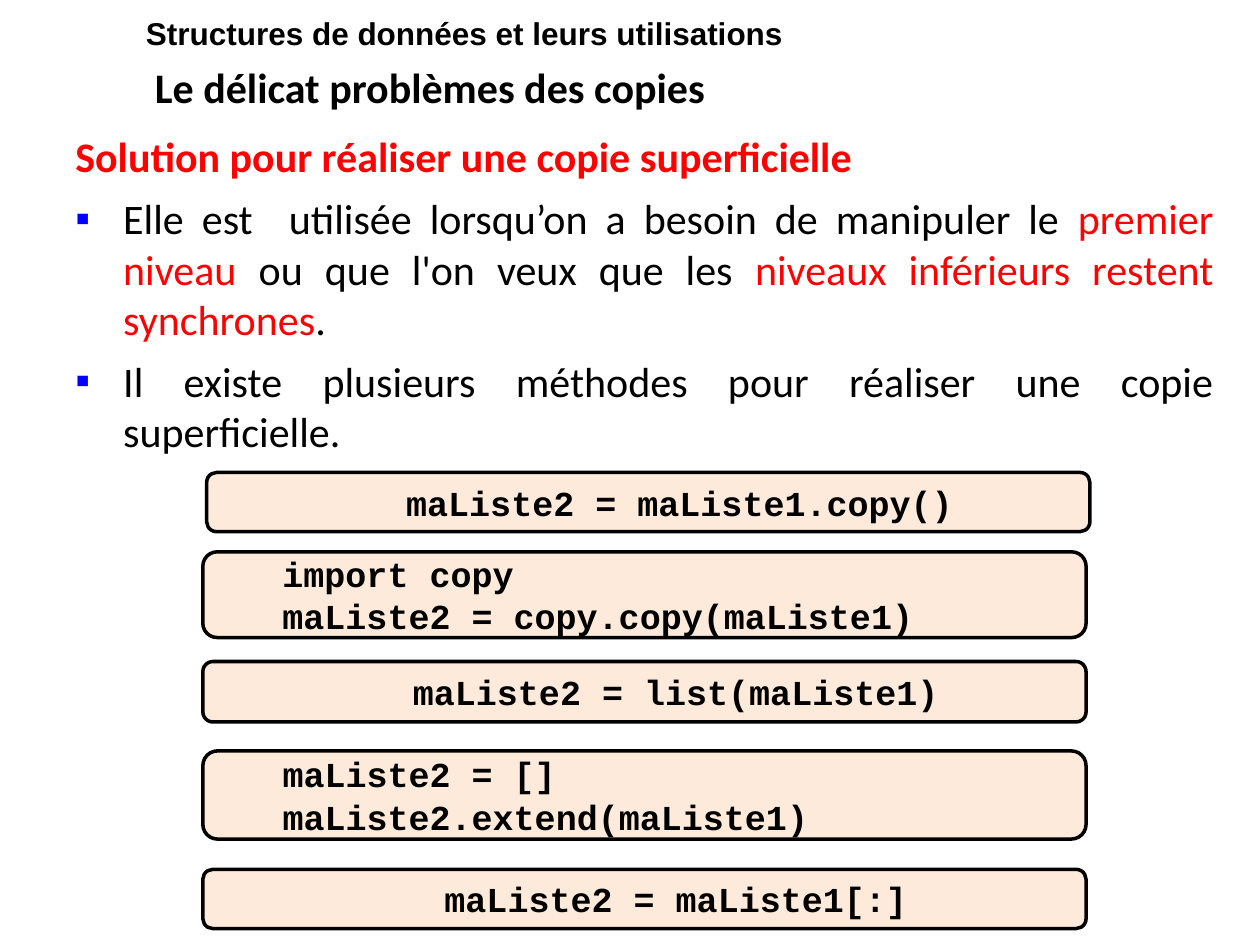
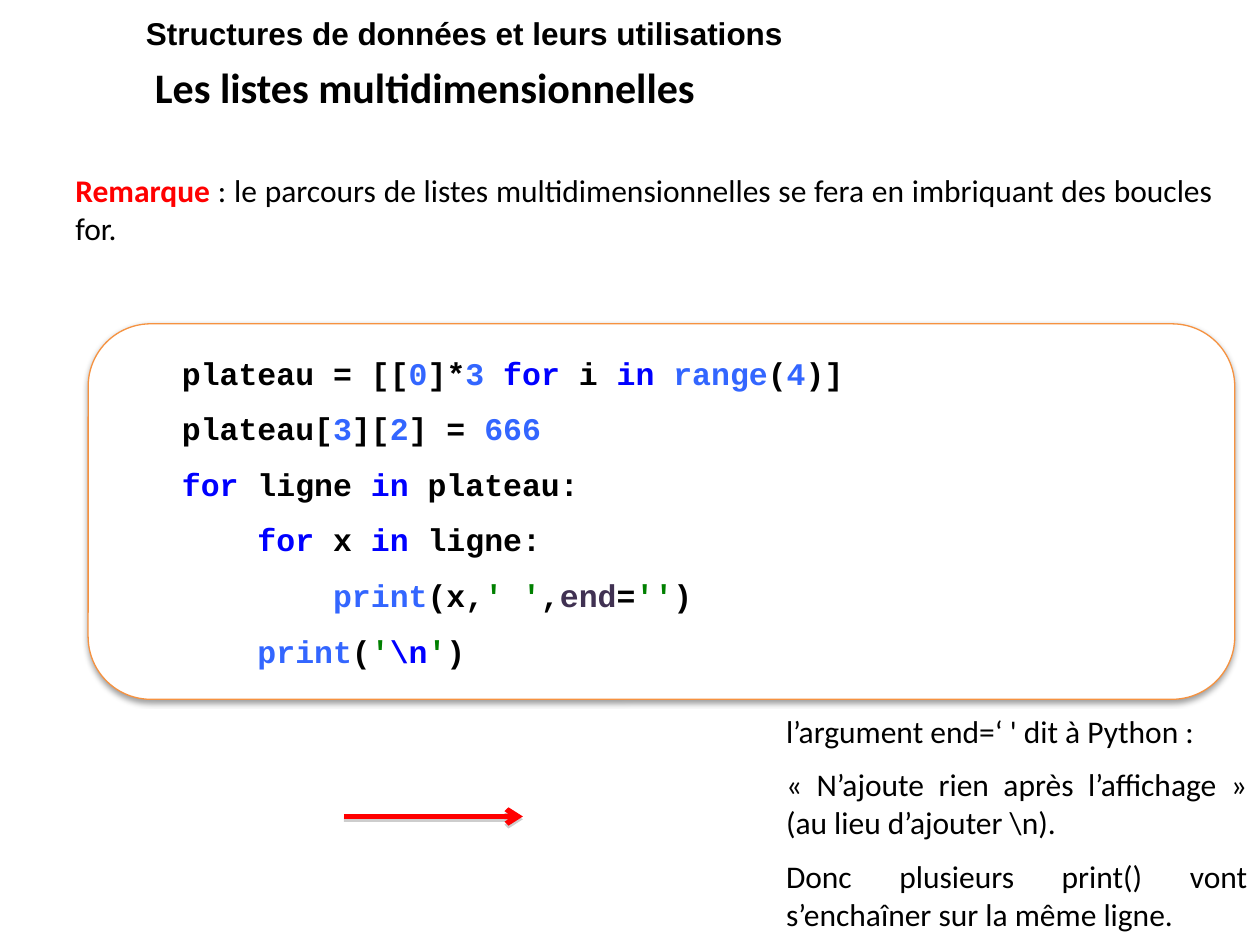
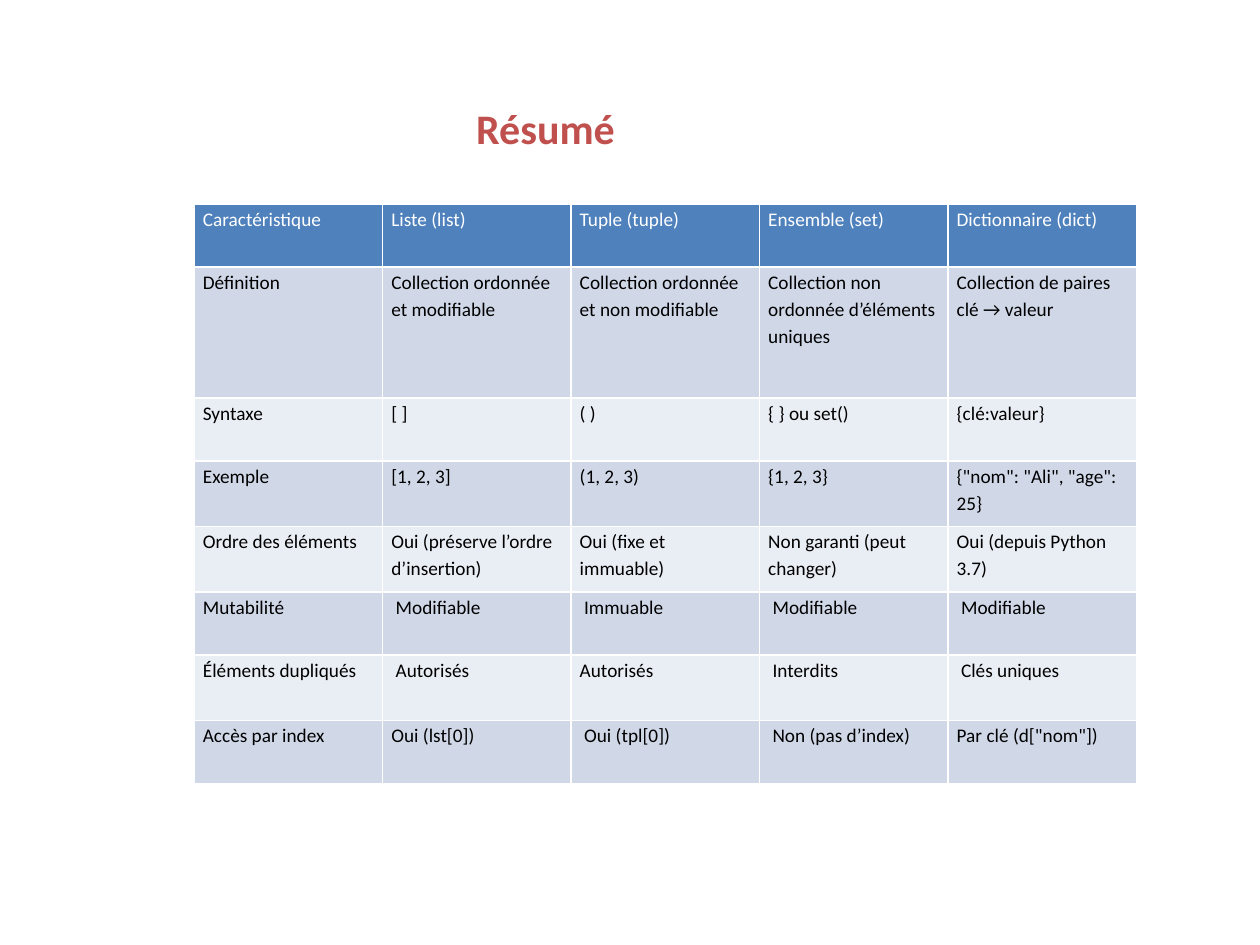
import pptx
import pptx.dml.color
import pptx.enum.shapes
import pptx.enum.text
import pptx.oxml.ns
import pptx.util
from lxml import etree

Inches = pptx.util.Inches
Pt = pptx.util.Pt
RGB = pptx.dml.color.RGBColor
ALIGN = pptx.enum.text.PP_ALIGN
ANCHOR = pptx.enum.text.MSO_ANCHOR
SHAPE = pptx.enum.shapes.MSO_SHAPE
qn = pptx.oxml.ns.qn

# Colours
BLACK = RGB(0x00, 0x00, 0x00)
WHITE = RGB(0xFF, 0xFF, 0xFF)
RED = RGB(0xFF, 0x00, 0x00)
BLUE = RGB(0x00, 0x00, 0xFF)
SKY = RGB(0x33, 0x66, 0xFF)
GREEN = RGB(0x00, 0x80, 0x00)
PLUM = RGB(0x40, 0x31, 0x52)
PEACH = RGB(0xFD, 0xEA, 0xDA)
ORANGE = RGB(0xF6, 0x92, 0x40)
BRICK = RGB(0xC0, 0x50, 0x4D)
GREY = RGB(0x80, 0x80, 0x80)
HEAD = RGB(0x4F, 0x81, 0xBD)
BANDS = (RGB(0xE9, 0xED, 0xF4), RGB(0xD0, 0xD8, 0xE8))

# Fonts
SANS, BODY, MONO = "Arial", "Calibri", "Courier New"
COURSE = "Structures de données et leurs utilisations"


class Deck:
    """Holds the style and the current slide."""

    def __init__(self):
        self.prs = pptx.Presentation()
        self.prs.slide_width, self.prs.slide_height = Inches(10), Inches(7.5)
        self.slide = None

    def add(self, title, at=(1.13, 0.44, 8.87, 0.49), color=BLACK,
            align=ALIGN.LEFT, course=True):
        """Start a slide with its title and, if wanted, the course name."""
        self.slide = self.prs.slides.add_slide(self.prs.slide_layouts[5])
        shape = self.slide.shapes.title
        shape.left, shape.top, shape.width, shape.height = map(Inches, at)
        frame = shape.text_frame
        frame.auto_size = pptx.enum.text.MSO_AUTO_SIZE.NONE
        frame.vertical_anchor = ANCHOR.MIDDLE
        self.put(frame, [title], 24, BODY, color, True, align)
        if course:
            self.text((1.06, 0.06, 8.94, 0.4), [COURSE], 18, SANS, bold=True)

    def put(self, frame, lines, size, font, color=BLACK, bold=False,
            align=ALIGN.LEFT, gap=0, indent=0):
        """Fill a frame; a line is a string or a list of strings and
        (text, colour[, bold]) runs."""
        frame.word_wrap = True
        for i, line in enumerate(lines):
            para = frame.paragraphs[0] if i == 0 else frame.add_paragraph()
            para.alignment = align
            para.space_before = Pt(gap if i else 0)
            if indent:
                self.margin(para, indent, 0)
            if isinstance(line, str):
                para.text = line
                looks = [(color, bold)] * len(para.runs)
            else:
                looks = []
                for part in line:
                    part = (part,) if isinstance(part, str) else part
                    text, tint, heavy = part + (color, bold)[len(part) - 1:]
                    para.add_run().text = text
                    looks.append((tint, heavy))
            for run, (tint, heavy) in zip(para.runs, looks):
                run.font.name, run.font.size = font, Pt(size)
                run.font.bold, run.font.color.rgb = heavy, tint

    def margin(self, para, left, first):
        props = para._p.get_or_add_pPr()
        props.set("marL", str(Inches(left)))
        props.set("indent", str(Inches(first)))
        return props

    def bullet(self, para):
        props = self.margin(para, 0.38, -0.38)
        tint = etree.SubElement(props, qn("a:buClr"))
        etree.SubElement(tint, qn("a:srgbClr"), val=str(BLUE))
        etree.SubElement(props, qn("a:buFont"), typeface=SANS)
        etree.SubElement(props, qn("a:buChar"), char="▪")

    def text(self, at, lines, size, font, **style):
        frame = self.slide.shapes.add_textbox(*map(Inches, at)).text_frame
        self.put(frame, lines, size, font, **style)
        return frame

    def panel(self, at, lines, size, fill, edge, width, **style):
        """Rounded box of bold code."""
        box = self.slide.shapes.add_shape(SHAPE.ROUNDED_RECTANGLE,
                                          *map(Inches, at))
        box.shadow.inherit = False
        box.fill.solid()
        box.fill.fore_color.rgb = fill
        box.line.color.rgb, box.line.width = edge, Pt(width)
        box.text_frame.vertical_anchor = ANCHOR.MIDDLE
        self.put(box.text_frame, lines, size, MONO, bold=True, indent=0.5,
                 **style)
        return box

    def arrow(self, start, end, color, width):
        line = self.slide.shapes.add_connector(
            pptx.enum.shapes.MSO_CONNECTOR.STRAIGHT,
            *map(Inches, start + end))
        line.line.color.rgb, line.line.width = color, Pt(width)
        etree.SubElement(line.line._ln, qn("a:tailEnd"), type="arrow")
        etree.SubElement(line._element.spPr, qn("a:effectLst"))
        return line

    def shade(self, shape, color, blur):
        """Soft shadow straight below a shape."""
        effects = shape._element.spPr.find(qn("a:effectLst"))
        outer = etree.SubElement(
            effects, qn("a:outerShdw"), blurRad=str(Pt(blur)),
            dist=str(Pt(1.6)), dir="5400000", rotWithShape="0")
        tint = etree.SubElement(outer, qn("a:srgbClr"), val=str(color))
        etree.SubElement(tint, qn("a:alpha"), val="38000")

    def table(self, at, rows, heights):
        grid = self.slide.shapes.add_table(len(rows), len(rows[0]),
                                           *map(Inches, at)).table
        for r, (row, height) in enumerate(zip(rows, heights)):
            grid.rows[r].height = Inches(height)
            for c, words in enumerate(row):
                cell = grid.cell(r, c)
                cell.margin_left = cell.margin_right = Inches(0.07)
                cell.margin_top = cell.margin_bottom = 0
                cell.fill.solid()
                cell.fill.fore_color.rgb = BANDS[r % 2] if r else HEAD
                self.put(cell.text_frame, [words], 11, BODY,
                         BLACK if r else WHITE)
                cell.text_frame.paragraphs[0].line_spacing = 1.15


def copies(deck):
    deck.add("Le délicat problèmes des copies")
    # Ways to copy: left, top, height, lines
    ways = [
        (1.64, 3.75, 0.47, ["maListe2 = maListe1.copy()"]),
        (1.61, 4.38, 0.68, ["import copy", "maListe2 = copy.copy(maListe1)"]),
        (1.61, 5.25, 0.48, ["maListe2 = list(maListe1)"]),
        (1.61, 5.96, 0.7, ["maListe2 = []", "maListe2.extend(maListe1)"]),
        (1.61, 6.9, 0.47, ["maListe2 = maListe1[:]"]),
    ]
    for left, top, height, lines in ways:
        align = ALIGN.CENTER if len(lines) == 1 else ALIGN.LEFT
        deck.panel((left, top, 7.01, height), lines, 20, PEACH, BLACK, 2,
                   align=align)
    # Explanation
    frame = deck.text((0.5, 0.99, 9.23, 5.88), [
        [("Solution pour réaliser une copie superficielle", RED, True)],
        ["Elle est  utilisée lorsqu’on a besoin de manipuler le ",
         ("premier niveau ", RED), "ou que l'on veux que les ",
         ("niveaux inférieurs restent synchrones", RED), "."],
        "Il existe plusieurs méthodes pour réaliser une copie superficielle.",
    ], 24, BODY, align=ALIGN.JUSTIFY, gap=6.5)
    for para in frame.paragraphs[1:]:
        deck.bullet(para)


def nested(deck):
    deck.add("Les listes multidimensionnelles")
    deck.text((0.5, 1.31, 9.23, 0.9), [
        [("Remarque", RED, True), " : le parcours de listes "
         "multidimensionnelles se fera en imbriquant des boucles for."],
    ], 18, BODY, align=ALIGN.JUSTIFY)
    # Highlighted code
    loop, inside, show = ("for", BLUE), ("in", BLUE), ("print", SKY)
    quote = ("'", GREEN)
    box = deck.panel((0.7, 2.57, 9.1, 2.98), [
        ["plateau = [[", ("0", SKY), "]*", ("3 ", SKY), loop, " i ", inside,
         " ", ("range", SKY), "(", ("4", SKY), ")]"],
        ["plateau[", ("3", SKY), "][", ("2", SKY), "] = ", ("666", SKY)],
        [loop, " ligne ", inside, " plateau:"],
        ["    ", loop, " x ", inside, " ligne:"],
        ["        ", show, "(x,", ("' '", GREEN), ",", ("end", PLUM), "=",
         ("''", GREEN), ")"],
        ["    ", show, "(", quote, ("\\n", BLUE), quote, ")"],
    ], 18, WHITE, ORANGE, 0.75, gap=10.2)
    deck.shade(box, BLACK, 3.1)
    # Note on the end argument
    arrow = deck.arrow((2.73, 6.48), (4.15, 6.48), RED, 3)
    deck.shade(arrow, GREY, 0)
    deck.text((6.14, 5.6, 3.86, 1.9), [
        "l’argument end=‘ ' dit à Python :",
        "« N’ajoute rien après l’affichage »\v(au lieu d’ajouter \\n).",
        "Donc plusieurs print() vont s’enchaîner sur la même ligne.",
    ], 18, BODY, align=ALIGN.JUSTIFY, gap=9)


def summary(deck):
    deck.add("Résumé", (2.95, 0.76, 2.76, 0.5), BRICK, ALIGN.CENTER, False)
    rows = [
        ("Caractéristique", "Liste (list)", "Tuple (tuple)",
         "Ensemble (set)", "Dictionnaire (dict)"),
        ("Définition", "Collection ordonnée et modifiable",
         "Collection ordonnée et non modifiable",
         "Collection non ordonnée d’éléments uniques",
         "Collection de paires clé → valeur"),
        ("Syntaxe", "[ ]", "( )", "{ } ou set()", "{clé:valeur}"),
        ("Exemple", "[1, 2, 3]", "(1, 2, 3)", "{1, 2, 3}",
         '{"nom": "Ali", "age": 25}'),
        ("Ordre des éléments", "Oui (préserve l’ordre d’insertion)",
         "Oui (fixe et immuable)", "Non garanti (peut changer)",
         "Oui (depuis Python 3.7)"),
        ("Mutabilité", " Modifiable", " Immuable", " Modifiable",
         " Modifiable"),
        ("Éléments dupliqués", " Autorisés", "Autorisés", " Interdits",
         " Clés uniques"),
        ("Accès par index", "Oui (lst[0])", " Oui (tpl[0])",
         " Non (pas d’index)", 'Par clé (d["nom"])'),
    ]
    deck.table((1.54, 1.62, 7.48, 4.6), rows,
               (0.5, 1.04, 0.5, 0.52, 0.52, 0.5, 0.52, 0.5))


def main():
    deck = Deck()
    copies(deck)
    nested(deck)
    summary(deck)
    deck.prs.save("out.pptx")


if __name__ == "__main__":
    main()
